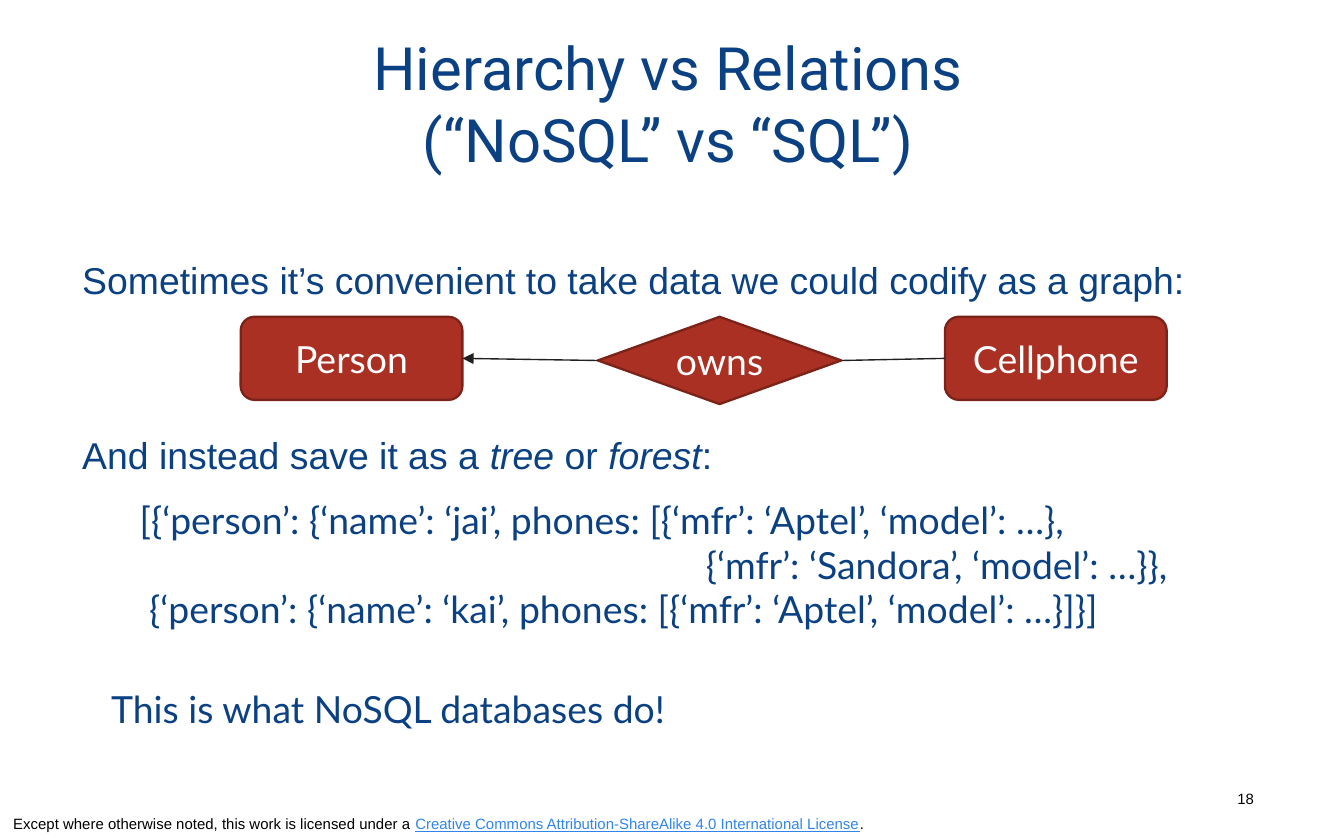
from dataclasses import dataclass
from lxml import etree
from pptx import Presentation
from pptx.dml.color import RGBColor
from pptx.enum.shapes import MSO_CONNECTOR, MSO_SHAPE
from pptx.enum.text import MSO_ANCHOR, MSO_AUTO_SIZE, PP_ALIGN
from pptx.oxml.ns import qn
from pptx.util import Cm, Pt

LEFT, CENTER, RIGHT = PP_ALIGN.LEFT, PP_ALIGN.CENTER, PP_ALIGN.RIGHT
TOP, MIDDLE, BOTTOM = MSO_ANCHOR.TOP, MSO_ANCHOR.MIDDLE, MSO_ANCHOR.BOTTOM
ROUND, DIAMOND = MSO_SHAPE.ROUNDED_RECTANGLE, MSO_SHAPE.DIAMOND
STRAIGHT = MSO_CONNECTOR.STRAIGHT
NO_FIT = MSO_AUTO_SIZE.NONE
LEFT_SITE, RIGHT_SITE = 1, 3


@dataclass(frozen=True)
class Theme:
    navy: str = "0B4183"
    black: str = "000000"
    white: str = "FFFFFF"
    link: str = "3085ED"
    red: str = "A93023"
    edge: str = "7B2319"
    wire: str = "212121"
    head: str = "Roboto"
    sans: str = "Arial"
    label: str = "Lato"
    big: int = 32
    mid: int = 20
    small: int = 8


def rgb(code):
    return RGBColor.from_string(code)


def write(par, text, font, size, color, align=LEFT, italic=None, under=None):
    par.alignment = align
    for i, line in enumerate(text.split("\n")):
        if i:
            par.add_line_break()
        run = par.add_run()
        run.text = line
        run.font.name = font
        run.font.size = Pt(size)
        run.font.color.rgb = rgb(color)
        run.font.italic = italic
        run.font.underline = under


class Deck:
    def __init__(self, theme):
        self.theme = theme
        self.file = Presentation()
        self.file.slide_width = Cm(25.4)
        self.file.slide_height = Cm(15.88)
        self.slide = self.file.slides.add_slide(self.file.slide_layouts[1])

    def frame(self, shape, anchor):
        frame = shape.text_frame
        frame.word_wrap = True
        frame.auto_size = NO_FIT
        frame.vertical_anchor = anchor
        return frame

    def place(self, shape, x, y, w, h):
        shape.left, shape.top = Cm(x), Cm(y)
        shape.width, shape.height = Cm(w), Cm(h)

    def title(self, text, *area):
        t = self.theme
        shape = self.slide.shapes.title
        self.place(shape, *area)
        par = self.frame(shape, MIDDLE).paragraphs[0]
        write(par, text, t.head, t.big, t.navy, align=CENTER)

    def body(self, lines, *area, inset, gap):
        t = self.theme
        shape = self.slide.placeholders[1]
        self.place(shape, *area)
        frame = self.frame(shape, TOP)
        frame.margin_top = Cm(inset)
        for i, parts in enumerate(lines):
            par = frame.add_paragraph() if i else frame.paragraphs[0]
            props = par._p.get_or_add_pPr()
            props.set("marL", "0")
            props.set("indent", "0")
            etree.SubElement(props, qn("a:buNone"))
            par.space_before = Pt(gap if i else 0)
            for text, italic in parts:
                write(par, text, t.sans, t.mid, t.navy, italic=italic)

    def text(self, x, y, w, h, anchor=TOP):
        box = self.slide.shapes.add_textbox(Cm(x), Cm(y), Cm(w), Cm(h))
        par = self.frame(box, anchor).paragraphs[0]
        par._p.get_or_add_pPr().set("defTabSz", str(Cm(2.54)))
        return par

    def node(self, kind, text, x, y, w, h):
        t = self.theme
        shape = self.slide.shapes.add_shape(kind, Cm(x), Cm(y), Cm(w), Cm(h))
        shape.shadow.inherit = False
        shape.fill.solid()
        shape.fill.fore_color.rgb = rgb(t.red)
        shape.line.color.rgb = rgb(t.edge)
        shape.line.width = Pt(1.25)
        par = self.frame(shape, MIDDLE).paragraphs[0]
        write(par, text, t.label, t.mid, t.white, align=CENTER)
        return shape

    def link(self, start, end, arrow=False):
        line = self.slide.shapes.add_connector(STRAIGHT, 0, 0, 0, 0)
        line.begin_connect(start, LEFT_SITE)
        line.end_connect(end, RIGHT_SITE)
        line.line.color.rgb = rgb(self.theme.wire)
        line.line.width = Pt(0.75)
        if arrow:
            etree.SubElement(line.line._get_or_add_ln(), qn("a:tailEnd"), type="triangle")
        etree.SubElement(line._element.spPr, qn("a:effectLst"))


def main():
    t = Theme()
    deck = Deck(t)

    note = deck.text(0, 15.29, 19.05, 0.58, anchor=BOTTOM)
    write(note, "Except where otherwise noted, this work is licensed under a ", t.sans, t.small, t.black)
    write(note, "Creative Commons Attribution-ShareAlike 4.0 International License",
          t.sans, t.small, t.link, under=True)
    write(note, ".", t.sans, t.small, t.black)

    deck.title("Hierarchy vs Relations\n(“NoSQL” vs “SQL”)", 1.3, 0.43, 22.66, 3.02)
    deck.body([
        [("Sometimes it’s convenient to take data we could codify as a graph:", None)],
        [("And instead save it as a ", None), ("tree", True), (" or ", None),
         ("forest", True), (":", None)],
    ], 1.3, 4.04, 22.66, 6.63, inset=0.82, gap=69.7)

    page = deck.text(22.81, 14.68, 1.14, 0.84, anchor=MIDDLE)
    write(page, "18", t.sans, t.small, t.black, align=RIGHT)

    row = 5.99
    person = deck.node(ROUND, "Person", 4.55, row, 4.19, 1.57)
    owns = deck.node(DIAMOND, "owns", 11.3, row, 4.6, 1.65)
    phone = deck.node(ROUND, "Cellphone", 17.86, row, 4.19, 1.57)
    deck.link(owns, person, arrow=True)
    deck.link(phone, owns)

    code = deck.text(2.39, 9.27, 21.36, 2.82)
    write(code, """[{‘person’: {‘name’: ‘jai’, phones: [{‘mfr’: ‘Aptel’, ‘model’: …},
\t\t\t\t   {‘mfr’: ‘Sandora’, ‘model’: …}},
 {‘person’: {‘name’: ‘kai’, phones: [{‘mfr’: ‘Aptel’, ‘model’: …}]}]""", t.label, t.mid, t.navy)

    end = deck.text(1.85, 12.85, 11.23, 1.12)
    write(end, "This is what NoSQL databases do!", t.label, t.mid, t.navy)

    deck.file.save("out.pptx")


if __name__ == "__main__":
    main()
